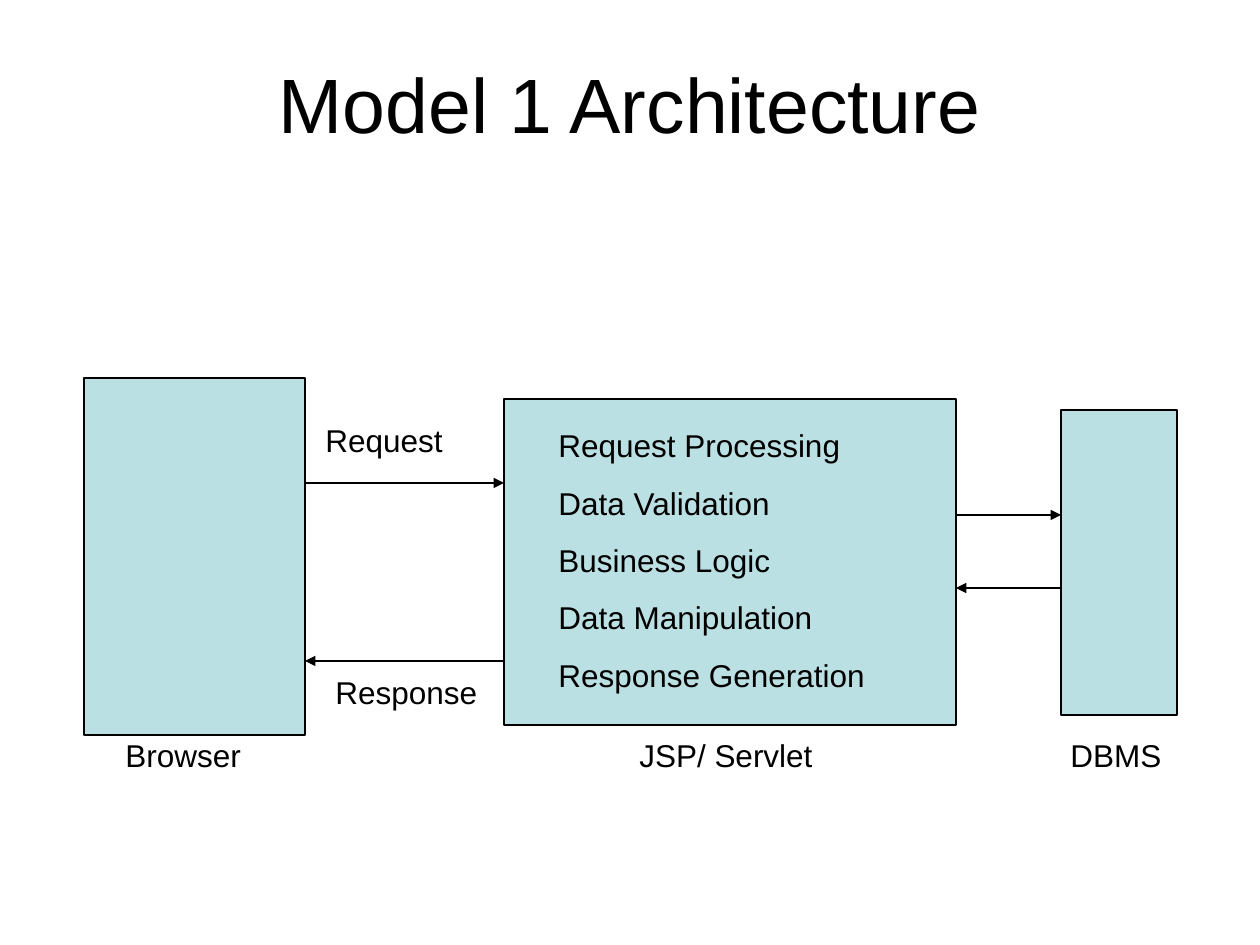
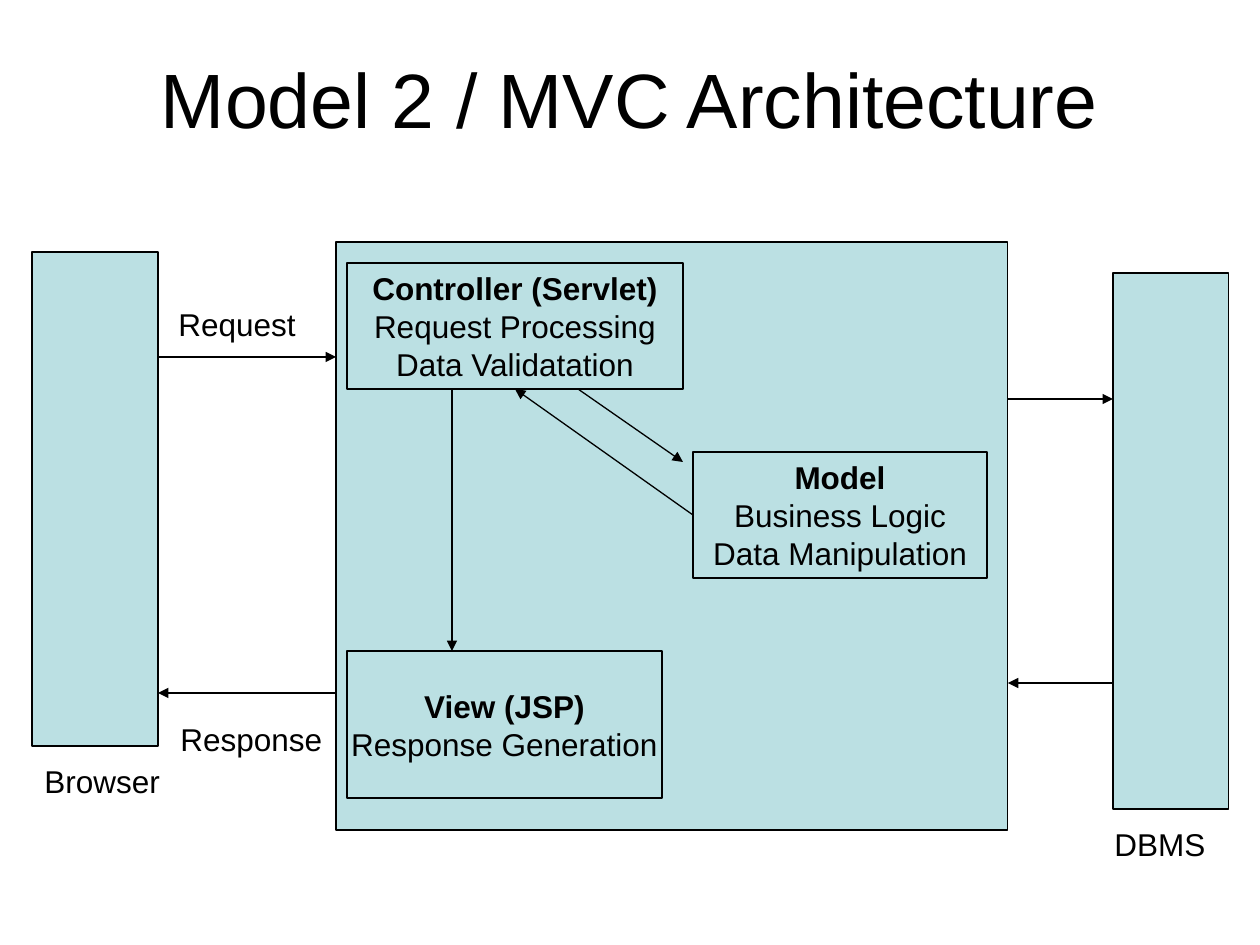
from dataclasses import dataclass

from lxml import etree
from pptx import Presentation
from pptx import util as u
from pptx.dml.color import RGBColor
from pptx.enum import shapes, text
from pptx.oxml import ns

PIXEL = u.Inches(1) // 126


@dataclass(frozen=True)
class Theme:
    """Colours and type shared by both slides."""
    ink: RGBColor = RGBColor(0, 0, 0)
    panel: RGBColor = RGBColor(0xBB, 0xE0, 0xE3)
    font: str = "Arial"
    title: u.Pt = u.Pt(44)
    body: u.Pt = u.Pt(18)
    gap: u.Pt = u.Pt(11.2)
    line: u.Pt = u.Pt(0.74)


THEME = Theme()


def write(box, words, size=THEME.body, align=text.PP_ALIGN.LEFT, wrap=False,
          bold_first=False, gap=None):
    """Fill a box with styled text, one paragraph a line."""
    frame = box.text_frame
    frame.text = words
    frame.word_wrap = wrap
    for index, para in enumerate(frame.paragraphs):
        para.alignment = align
        para.space_before = gap
        for span in para.runs:
            span.font.name = THEME.font
            span.font.size = size
            span.font.color.rgb = THEME.ink
            span.font.bold = bold_first and index == 0


# Each panel: left, top, width, height, text (first line bold).
# Each label: left, top, width, text. Each arrow: from x, y to x, y.
SLIDES = [
    {
        "title": "Model 1 Architecture",
        "title_height": 130,
        "panels": [
            (84, 378, 221, 357, ""),
            (504, 399, 452, 326, ""),
            (1061, 410, 116, 305, ""),
        ],
        "labels": [
            (113, 730, 144, "Browser"),
            (627, 730, 202, "JSP/ Servlet"),
            (1058, 730, 120, "DBMS"),
            (313, 415, 146, "Request"),
            (323, 667, 170, "Response"),
        ],
        "duties": "Request Processing\nData Validation\nBusiness Logic\n"
                  "Data Manipulation\nResponse Generation",
        "arrows": [
            (305, 483, 504, 483),
            (504, 661, 305, 661),
            (956, 515, 1061, 515),
            (1061, 588, 956, 588),
        ],
    },
    {
        "title": "Model 2 / MVC Architecture",
        "title_height": 120,
        "panels": [
            (32, 252, 126, 494, ""),
            (336, 242, 672, 588, ""),
            (347, 263, 336, 126,
             "Controller (Servlet)\nRequest Processing\nData Validatation"),
            (693, 452, 294, 126, "Model\nBusiness Logic\nData Manipulation"),
            (347, 651, 315, 147, "View (JSP)\nResponse Generation"),
            (1113, 273, 116, 536, ""),
        ],
        "labels": [
            (32, 756, 144, "Browser"),
            (168, 714, 170, "Response"),
            (166, 299, 146, "Request"),
            (1102, 819, 120, "DBMS"),
        ],
        "duties": "",
        "arrows": [
            (336, 693, 158, 693),
            (158, 357, 336, 357),
            (1008, 399, 1113, 399),
            (1113, 683, 1008, 683),
            (578, 389, 683, 462),
            (693, 515, 515, 389),
            (452, 389, 452, 651),
        ],
    },
]

deck = Presentation()
deck.slide_width = 1260 * PIXEL
deck.slide_height = 945 * PIXEL

for content in SLIDES:
    page = deck.slides.add_slide(deck.slide_layouts[6])

    title = page.shapes.add_textbox(63 * PIXEL, 38 * PIXEL, 1134 * PIXEL,
                                    content["title_height"] * PIXEL)
    write(title, content["title"], THEME.title, text.PP_ALIGN.CENTER, wrap=True)
    title.text_frame.vertical_anchor = text.MSO_ANCHOR.MIDDLE

    for *frame, words in content["panels"]:
        panel = page.shapes.add_shape(shapes.MSO_SHAPE.RECTANGLE,
                                      *(length * PIXEL for length in frame))
        panel.shadow.inherit = False
        panel.fill.solid()
        panel.fill.fore_color.rgb = THEME.panel
        panel.line.color.rgb = THEME.ink
        panel.line.width = THEME.line
        if words:
            write(panel, words, align=text.PP_ALIGN.CENTER, bold_first=True)
            panel.text_frame.vertical_anchor = text.MSO_ANCHOR.MIDDLE

    # A few spare pixels of width keep each wrapped label on one line.
    for left, top, width, words in content["labels"]:
        label = page.shapes.add_textbox(left * PIXEL, top * PIXEL,
                                        width * PIXEL, 50 * PIXEL)
        write(label, words, wrap=True)

    if content["duties"]:
        duties = page.shapes.add_textbox(546 * PIXEL, 420 * PIXEL,
                                         368 * PIXEL, 281 * PIXEL)
        write(duties, content["duties"], wrap=True, gap=THEME.gap)

    for ends in content["arrows"]:
        arrow = page.shapes.add_connector(shapes.MSO_CONNECTOR.STRAIGHT,
                                          *(length * PIXEL for length in ends))
        arrow.line.color.rgb = THEME.ink
        arrow.line.width = THEME.line
        properties = arrow.element.spPr
        outline = properties.find(ns.qn("a:ln"))
        etree.SubElement(outline, ns.qn("a:tailEnd"), type="triangle")
        etree.SubElement(properties, ns.qn("a:effectLst"))

deck.save("out.pptx")
